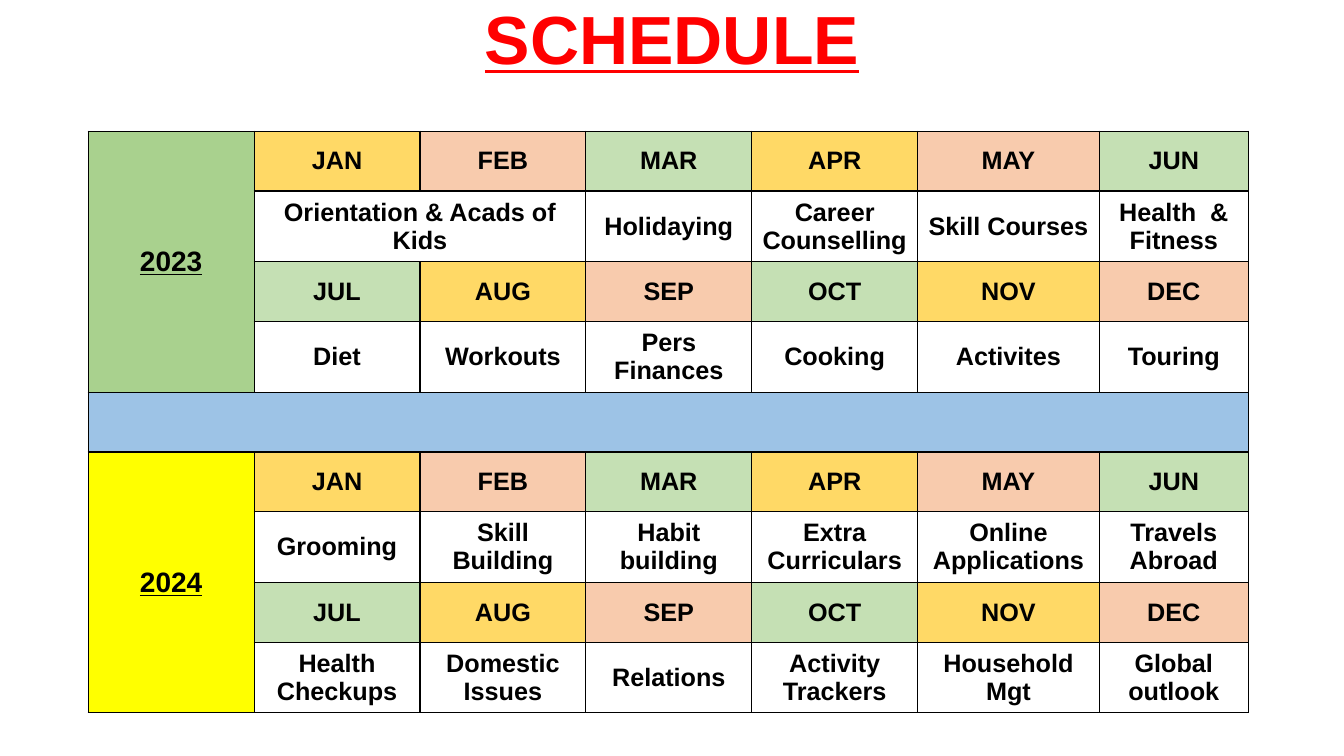
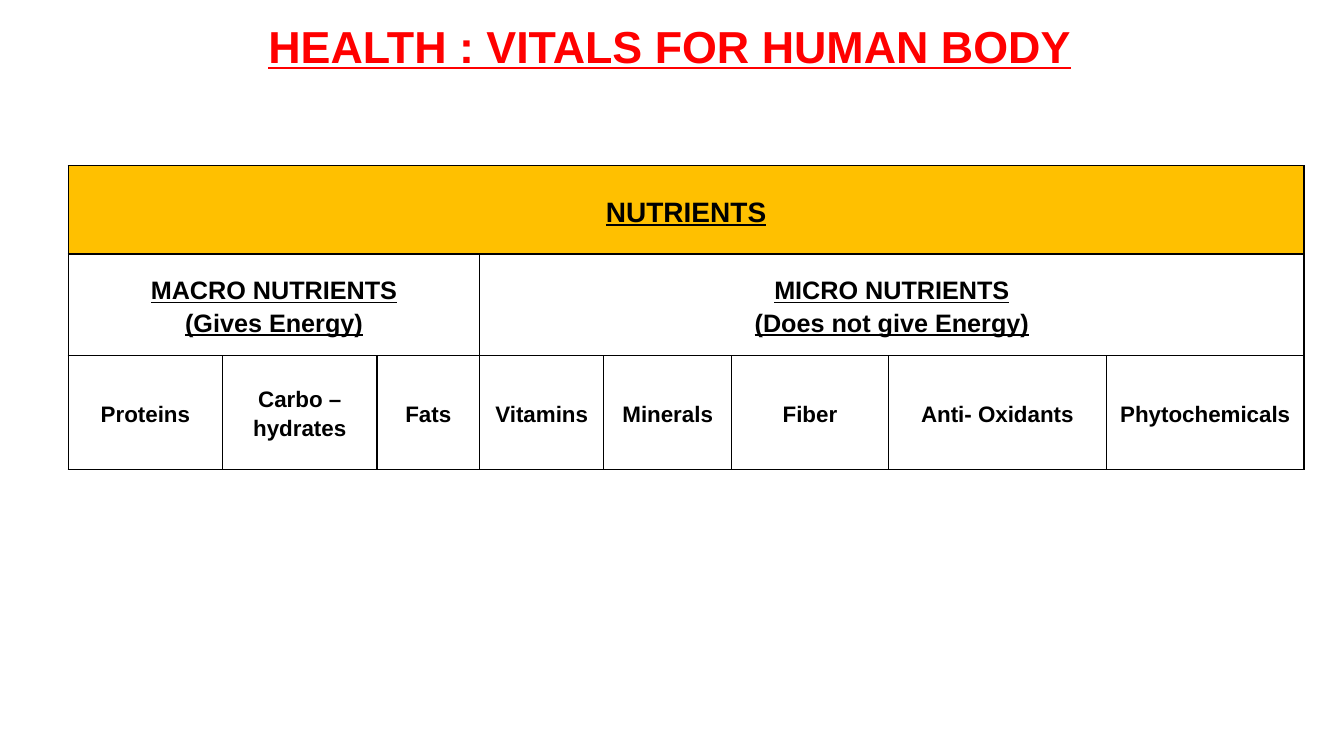
from lxml import etree
from pptx import Presentation
from pptx import util as u
from pptx.dml.color import RGBColor
from pptx.enum import text
from pptx.oxml import ns

PX = 9525
FONT = "Arial"
HUES = {
    "title": "FF0000", "ink": "000000", "gold": "FFD966", "peach": "F8CBAD",
    "mint": "C5E0B4", "green": "A9D18E", "yellow": "FFFF00", "blue": "9DC3E6",
    "amber": "FFC000",
}
CYCLE = ["gold", "peach", "mint"]
# Each half year: months, and the step at which its colour cycle starts
HALVES = [("JAN FEB MAR APR MAY JUN".split(), 0),
          ("JUL AUG SEP OCT NOV DEC".split(), 2)]
# None continues the topic on its left
YEARS = [
    ("2023", "green", [
        ["Orientation & Acads of Kids", None, "Holidaying",
         "Career Counselling", "Skill Courses", "Health  & Fitness"],
        ["Diet", "Workouts", "Pers Finances", "Cooking", "Activites", "Touring"]]),
    ("2024", "yellow", [
        ["Grooming", "Skill Building", "Habit building",
         "Extra Curriculars", "Online Applications", "Travels Abroad"],
        ["Health Checkups", "Domestic Issues", "Relations",
         "Activity Trackers", "Household Mgt", "Global outlook"]]),
]
GROUPS = [
    ("MACRO NUTRIENTS\n(Gives Energy)", ["Proteins", "Carbo – hydrates", "Fats"]),
    ("MICRO NUTRIENTS\n(Does not give Energy)",
     ["Vitamins", "Minerals", "Fiber", "Anti- Oxidants", "Phytochemicals"]),
]


def px(*nums):
    return [u.Emu(n * PX) for n in nums]


def style(frame, size, hue="ink", line=False, lead=None):
    for par in frame.paragraphs:
        par.alignment = text.PP_ALIGN.CENTER
        par.line_spacing = lead
        font = par.font
        font.name, font.size, font.bold = FONT, u.Pt(size), True
        font.underline = line
        font.color.rgb = RGBColor.from_string(HUES[hue])


def title(slide, box, words, size):
    frame = slide.shapes.add_textbox(*px(*box)).text_frame
    frame.word_wrap = True
    frame.vertical_anchor = text.MSO_ANCHOR.MIDDLE
    frame.text = words
    style(frame, size, "title", True, 0.9)


def border(cell):
    props = cell._tc.get_or_add_tcPr()
    for side in "LRTB":
        edge = etree.SubElement(props, ns.qn("a:ln" + side), w=str(u.Pt(1)))
        fill = etree.SubElement(edge, ns.qn("a:solidFill"))
        etree.SubElement(fill, ns.qn("a:srgbClr"), val=HUES["ink"])


def grid(slide, spot, cols, rows):
    """Add a bordered, unfilled table whose top left corner is at spot."""
    box = px(*spot, sum(cols), sum(rows))
    table = slide.shapes.add_table(len(rows), len(cols), *box).table
    table.first_row = table.horz_banding = False
    for col, width in zip(table.columns, px(*cols)):
        col.width = width
    for row, height in zip(table.rows, px(*rows)):
        row.height = height
    for cell in table.iter_cells():
        border(cell)
        cell.fill.background()
    return table


def put(table, row, col, words, size, hue=None, span=(1, 1), line=False, lead=None):
    """Fill one cell, merged over span (rows, columns)."""
    cell = table.cell(row, col)
    if span != (1, 1):
        cell.merge(table.cell(row + span[0] - 1, col + span[1] - 1))
    cell.text = words
    cell.vertical_anchor = text.MSO_ANCHOR.MIDDLE
    if hue:
        cell.fill.solid()
        cell.fill.fore_color.rgb = RGBColor.from_string(HUES[hue])
    style(cell.text_frame, size, line=line, lead=lead)
    return cell


def year(table, top, name, hue, topics):
    put(table, top, 0, name, 20, hue, (4, 1), True)
    for half, ((months, start), tasks) in enumerate(zip(HALVES, topics)):
        row = top + 2 * half
        for i, (month, task) in enumerate(zip(months, tasks)):
            put(table, row, i + 1, month, 18, CYCLE[(i + start) % 3])
            if task:
                wide = 2 if tasks[i + 1:i + 2] == [None] else 1
                put(table, row + 1, i + 1, task, 18, span=(1, wide))


def schedule(slide):
    title(slide, (0, 0, 1280, 80), "SCHEDULE", 48.6)
    table = grid(slide, (84, 125), [158] * 5 + [173, 142], [57] * 9)
    for i, (name, hue, topics) in enumerate(YEARS):
        year(table, 5 * i, name, hue, topics)
    put(table, 4, 0, "", 18, "blue", (1, 7))


def health(slide):
    title(slide, (32, 15, 1212, 63), "HEALTH : VITALS FOR HUMAN BODY", 32)
    cols = [147, 147, 98, 118, 122, 149, 208, 188]
    table = grid(slide, (65, 158), cols, [84, 97, 108])
    for cell in table.iter_cells():
        cell.margin_left = cell.margin_right = px(7)[0]
        cell.margin_top = cell.margin_bottom = 0
    put(table, 0, 0, "NUTRIENTS", 20, "amber", (1, len(cols)), True, 1.15)
    col = 0
    for name, kinds in GROUPS:
        put(table, 1, col, name, 18, span=(1, len(kinds)), line=True, lead=1.15)
        for kind in kinds:
            put(table, 2, col, kind, 16, lead=1.15)
            col += 1


def main():
    deck = Presentation()
    deck.slide_width, deck.slide_height = px(1280, 720)
    for build in (schedule, health):
        build(deck.slides.add_slide(deck.slide_layouts[6]))
    deck.save("out.pptx")


if __name__ == "__main__":
    main()
